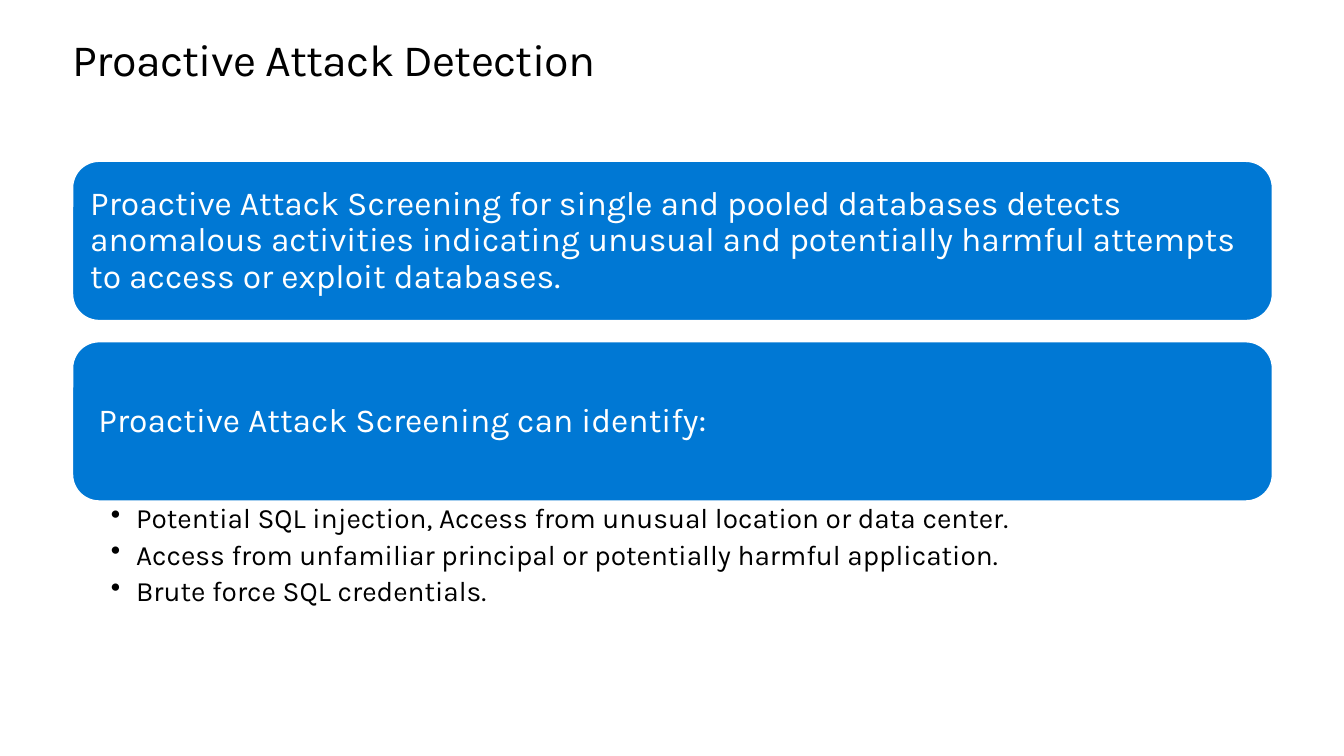
import pptx
import pptx.util
import pptx.dml.color
import pptx.enum.shapes
import pptx.enum.text
import pptx.oxml.ns
import lxml.etree

SCALE = 9144  # EMU per px, 100 px to the inch
COLORS = {"blue": "0078D4", "white": "FFFFFF", "black": "000000"}
FONT = "Karla"
CARDS = [
    ("Proactive Attack Screening for single and pooled databases detects "
     "anomalous activities indicating unusual and potentially harmful "
     "attempts to access or exploit databases.", 0),
    ("Proactive Attack Screening can identify:", 8),
]
THREATS = [
    "Potential SQL injection, Access from unusual location or data center.",
    "Access from unfamiliar principal or potentially harmful application.",
    "Brute force SQL credentials.",
]


def px(size):
    return pptx.util.Emu(size * SCALE)


def color(name):
    return pptx.dml.color.RGBColor.from_string(COLORS[name])


def set_frame(frame, insets, anchor):
    frame.word_wrap = True
    frame.auto_size = pptx.enum.text.MSO_AUTO_SIZE.NONE
    frame.vertical_anchor = anchor
    (frame.margin_left, frame.margin_top,
     frame.margin_right, frame.margin_bottom) = map(px, insets)


def set_para(para, text, size, tint, spacing):
    para.text = text
    para.alignment = pptx.enum.text.PP_ALIGN.LEFT
    para.line_spacing = spacing
    para.space_before = pptx.util.Pt(0)
    para.font.name = FONT
    para.font.size = pptx.util.Pt(size)
    para.font.color.rgb = color(tint)


def add_title(slide, left, top, width, height):
    title = slide.shapes.title
    title.left, title.top, title.width, title.height = map(
        px, (left, top, width, height))
    title.fill.solid()
    title.fill.fore_color.rgb = color("white")
    set_frame(title.text_frame, (0, 0, 0, 0), pptx.enum.text.MSO_ANCHOR.TOP)
    para = title.text_frame.paragraphs[0]
    set_para(para, "Proactive Attack Detection", 32, "black",
             pptx.util.Pt(36.2))
    # Tighten the letters by half a point
    props = para._p.pPr.find(pptx.oxml.ns.qn("a:defRPr"))
    props.set("spc", "-50")


def add_card(slide, text, indent, left, top, width, height):
    card = slide.shapes.add_shape(
        pptx.enum.shapes.MSO_SHAPE.ROUNDED_RECTANGLE,
        *map(px, (left, top, width, height)))
    card.shadow.inherit = False
    card.fill.solid()
    card.fill.fore_color.rgb = color("blue")
    card.line.color.rgb = color("white")
    card.line.width = pptx.util.Pt(1)
    # The corner radius already insets the text by about 8 px
    set_frame(card.text_frame, (10 + indent, 10, 10, 10),
              pptx.enum.text.MSO_ANCHOR.MIDDLE)
    set_para(card.text_frame.paragraphs[0], text, 24, "white", 0.9)


def add_list(slide, left, top, width, height):
    box = slide.shapes.add_textbox(*map(px, (left, top, width, height)))
    frame = box.text_frame
    set_frame(frame, (38, 3, 16, 3), pptx.enum.text.MSO_ANCHOR.TOP)
    for index, text in enumerate(THREATS):
        para = frame.add_paragraph() if index else frame.paragraphs[0]
        props = para._p.get_or_add_pPr()
        props.set("marL", str(px(25)))
        props.set("indent", str(px(-25)))
        bullet = lxml.etree.SubElement(props, pptx.oxml.ns.qn("a:buChar"))
        bullet.set("char", "•")
        set_para(para, text, 20, "black", 0.9)
        para.space_after = pptx.util.Pt(4.7)


def main():
    deck = pptx.Presentation()
    deck.slide_width, deck.slide_height = px(1333), px(750)
    slide = deck.slides.add_slide(deck.slide_layouts.get_by_name("Title Only"))
    left, width = 72, 1190
    add_title(slide, left, 35, width, 50)

    # Two cards, then the list right under the last one
    top, height, pitch = 160, 158, 179
    for index, (text, indent) in enumerate(CARDS):
        add_card(slide, text, indent, left, top + index * pitch, width, height)
    add_list(slide, left, top + pitch + height, width, 121)
    deck.save("out.pptx")


if __name__ == "__main__":
    main()
